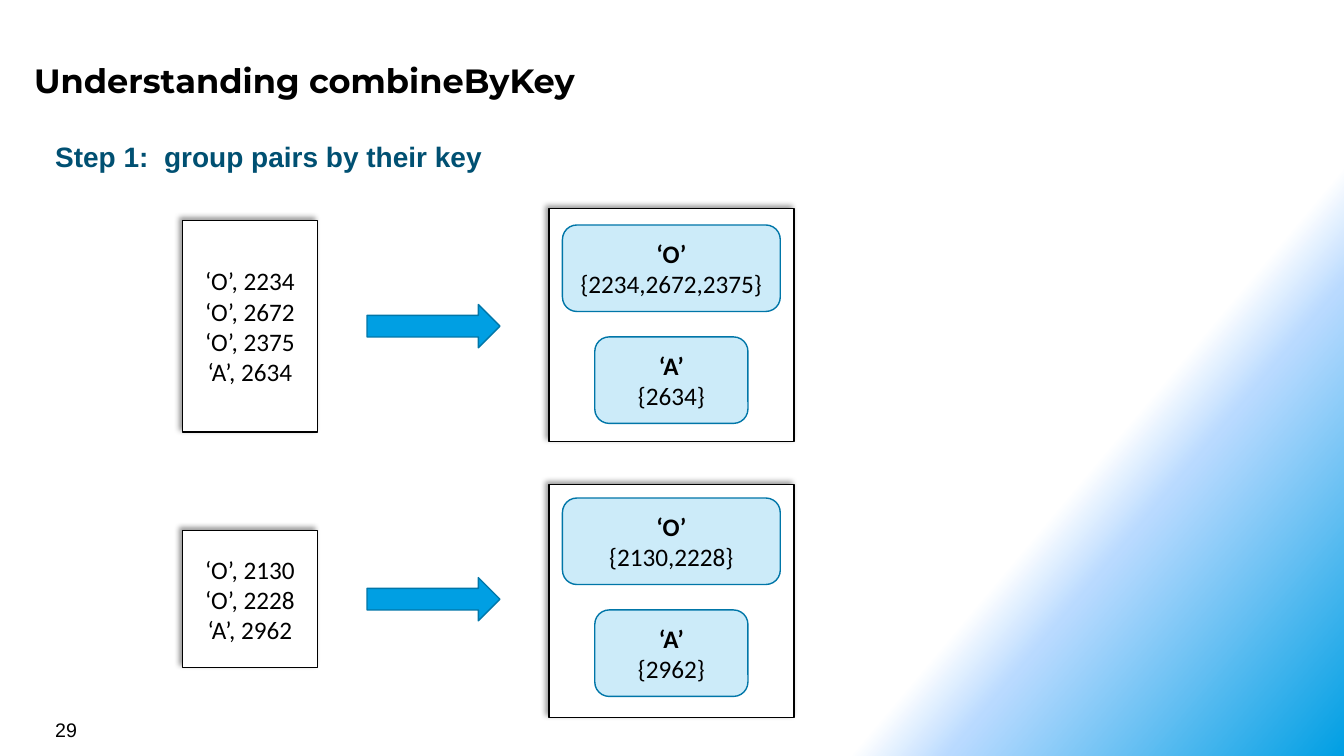
"""Builds the slide on grouping pairs by key, the first step of combineByKey."""
from lxml.etree import SubElement
from pptx import Presentation
from pptx.dml.color import RGBColor
from pptx.enum.shapes import MSO_SHAPE
from pptx.enum.text import MSO_ANCHOR, PP_ALIGN
from pptx.oxml.ns import qn
from pptx.util import Cm, Pt

TITLE = "Understanding combineByKey"
STEP = "Step 1:  group pairs by their key"
PAGE_NUMBER = "29"
PARTITIONS = [
    {
        "pairs": ["‘O’, 2234", "‘O’, 2672", "‘O’, 2375", "‘A’, 2634"],
        "groups": [("‘O’", "{2234,2672,2375}"), ("‘A’", "{2634}")],
        "middle": 8.22, "pairs_height": 5.33, "panel_middle": 8.19,
    },
    {
        "pairs": ["‘O’, 2130", "‘O’, 2228", "‘A’, 2962"],
        "groups": [("‘O’", "{2130,2228}"), ("‘A’", "{2962}")],
        "middle": 15.1, "pairs_height": 3.45, "panel_middle": 15.15,
    },
]
GROUP_WIDTHS = [5.49, 3.86]
GROUP_OFFSETS = [-1.46, 1.36]
BACKGROUND_STOPS = [(75, "FFFFFF"), (80, "B9DAFF"), (100, "009FE3")]
BLACK, WHITE, BLUE, EDGE, NAVY = "000000", "FFFFFF", "009FE3", "0076A8", "005072"


def color(code):
    return RGBColor.from_string(code)


def write(frame, lines, font="Calibri", size=18, ink=BLACK, bold_lines=0,
          align=PP_ALIGN.CENTER, anchor=MSO_ANCHOR.MIDDLE, wrap=True):
    frame.word_wrap = wrap
    frame.vertical_anchor = anchor
    for index, line in enumerate(lines):
        paragraph = frame.add_paragraph() if index else frame.paragraphs[0]
        paragraph.alignment = align
        run = paragraph.add_run()
        run.text = line
        run.font.name = font
        run.font.size = Pt(size)
        run.font.bold = index < bold_lines
        run.font.color.rgb = color(ink)


def add_label(slide, text, left, top, width, height, **style):
    label = slide.shapes.add_textbox(Cm(left), Cm(top), Cm(width), Cm(height))
    write(label.text_frame, [text], font="Arial", align=PP_ALIGN.LEFT,
          anchor=MSO_ANCHOR.TOP, **style)


def add_block(slide, kind, left, middle, width, height, fill, line, opacity=100):
    block = slide.shapes.add_shape(
        kind, Cm(left), Cm(middle - height / 2), Cm(width), Cm(height))
    block.shadow.inherit = False
    block.fill.solid()
    block.fill.fore_color.rgb = color(fill)
    block.line.color.rgb = color(line)
    block.line.width = Pt(1)
    if opacity < 100:
        tint = block.fill._xPr.find(qn("a:solidFill"))[0]
        SubElement(tint, qn("a:alpha"), val=str(opacity * 1000))
    return block


def add_sheet(slide, left, middle, width, height):
    sheet = add_block(slide, MSO_SHAPE.RECTANGLE, left, middle, width, height, WHITE, BLACK)
    effects = sheet.element.spPr.find(qn("a:effectLst"))
    shadow = SubElement(effects, qn("a:outerShdw"), blurRad=str(Pt(4)), dist=str(Pt(3)),
                        dir=str(225 * 60000), algn="br", rotWithShape="0")
    shade = SubElement(shadow, qn("a:srgbClr"), val=BLACK)
    SubElement(shade, qn("a:alpha"), val="40000")
    return sheet


def paint_background(slide):
    slide.background.fill.gradient()
    gradient = slide.element.find(".//" + qn("a:gradFill"))
    for child in list(gradient):
        gradient.remove(child)
    stops = SubElement(gradient, qn("a:gsLst"))
    for position, code in BACKGROUND_STOPS:
        stop = SubElement(stops, qn("a:gs"), pos=str(position * 1000))
        SubElement(stop, qn("a:srgbClr"), val=code)
    SubElement(gradient, qn("a:lin"), ang=str(40 * 60000), scaled="0")


def add_partition(slide, partition):
    middle = partition["middle"]
    source = add_sheet(slide, 4.6, middle, 3.4, partition["pairs_height"])
    write(source.text_frame, partition["pairs"])
    add_block(slide, MSO_SHAPE.RIGHT_ARROW, 9.25, middle, 3.35, 1.09, BLUE, EDGE)
    add_sheet(slide, 13.84, partition["panel_middle"], 6.17, 5.87)
    for group, width, offset in zip(partition["groups"], GROUP_WIDTHS, GROUP_OFFSETS):
        card = add_block(slide, MSO_SHAPE.ROUNDED_RECTANGLE, 16.92 - width / 2,
                         middle + offset, width, 2.18, BLUE, EDGE, opacity=20)
        write(card.text_frame, group, bold_lines=1)


def main():
    deck = Presentation()
    deck.slide_width, deck.slide_height = Cm(33.87), Cm(19.05)
    slide = deck.slides.add_slide(deck.slide_layouts[5])
    paint_background(slide)

    title = slide.shapes.title
    title.left, title.top, title.width, title.height = Cm(0.66), Cm(1.3), Cm(31.14), Cm(1.4)
    frame = title.text_frame
    frame.margin_left = frame.margin_right = frame.margin_top = frame.margin_bottom = Cm(0.2)
    write(frame, [TITLE], font="Montserrat", size=24, bold_lines=1,
          align=PP_ALIGN.LEFT, anchor=MSO_ANCHOR.TOP)

    add_label(slide, STEP, 1.14, 3.4, 11.35, 1.12, size=20, ink=NAVY, bold_lines=1, wrap=False)
    for partition in PARTITIONS:
        add_partition(slide, partition)
    add_label(slide, PAGE_NUMBER, 1.14, 17.96, 7.9, 0.84, size=14)
    deck.save("out.pptx")


if __name__ == "__main__":
    main()
